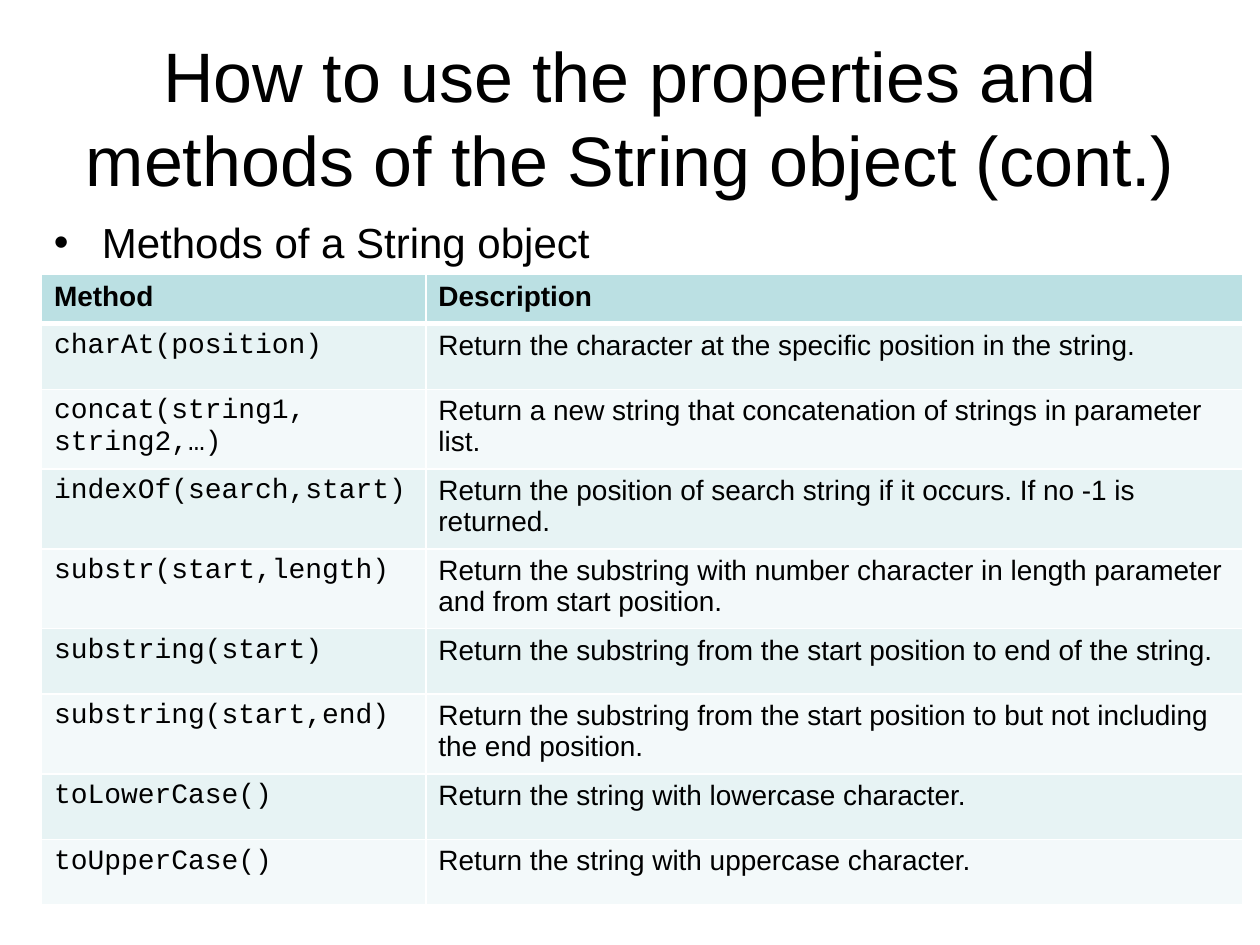
from dataclasses import dataclass

from lxml.etree import SubElement
from pptx import Presentation
from pptx.dml.color import RGBColor
from pptx.enum.text import MSO_ANCHOR, MSO_AUTO_SIZE, PP_ALIGN
from pptx.oxml.ns import qn
from pptx.util import Inches, Pt


@dataclass(frozen=True)
class Theme:
    ink: str = "000000"
    border: str = "FFFFFF"
    header: str = "BBE0E3"
    bands: tuple = ("E7F3F4", "F3F9FA")
    body_font: str = "Arial"
    code_font: str = "Courier New"
    title_size: int = 40
    bullet_size: int = 24
    table_size: int = 16


theme = Theme()


def add_text(p, text, size, font=theme.body_font, bold=False):
    r = p.add_run()
    r.text = text
    r.font.size = Pt(size)
    r.font.name = font
    r.font.bold = bold
    r.font.color.rgb = RGBColor.from_string(theme.ink)


def set_borders(cell, bottom_width):
    tc_pr = cell._tc.get_or_add_tcPr()
    widths = {"a:lnL": 1, "a:lnR": 1, "a:lnT": 1, "a:lnB": bottom_width}
    # Border lines must come before the cell fill
    for i, (tag, width) in enumerate(widths.items()):
        line = SubElement(tc_pr, qn(tag), w=str(Pt(width)))
        fill = SubElement(line, qn("a:solidFill"))
        SubElement(fill, qn("a:srgbClr"), val=theme.border)
        tc_pr.insert(i, line)


prs = Presentation()
prs.slide_width, prs.slide_height = Inches(10), Inches(7.5)
s = prs.slides.add_slide(prs.slide_layouts[5])

# Title
title = s.shapes.title
title.left, title.top = Inches(0.5), Inches(0.3)
title.width, title.height = Inches(9), Inches(1.25)
tf = title.text_frame
tf.auto_size = MSO_AUTO_SIZE.NONE
tf.vertical_anchor = MSO_ANCHOR.MIDDLE
p = tf.paragraphs[0]
p.alignment = PP_ALIGN.CENTER
add_text(p, "How to use the properties and methods of the String object (cont.)",
         theme.title_size)

# Bullet
body = s.shapes.add_textbox(Inches(0.33), Inches(1.67), Inches(9), Inches(4.95))
tf = body.text_frame
tf.word_wrap = True
p = tf.paragraphs[0]
p.space_before = Pt(0.2 * theme.bullet_size)
add_text(p, "Methods of a String object", theme.bullet_size)
p_pr = p._p.get_or_add_pPr()
p_pr.set("marL", str(Inches(0.38)))
p_pr.set("indent", str(Inches(-0.38)))
SubElement(p_pr, qn("a:buFont"), typeface=theme.body_font)
SubElement(p_pr, qn("a:buChar"), char="•")

# Method table: name, description, row height
header_height, short, tall = 0.39, 0.52, 0.62
rows = [
    ("Method", "Description", header_height),
    ("charAt(position)",
     "Return the character at the specific position in the string.", short),
    ("concat(string1, string2,…)",
     "Return a new string that concatenation of strings in parameter list.", tall),
    ("indexOf(search,start)",
     "Return the position of search string if it occurs. If no -1 is returned.", tall),
    ("substr(start,length)",
     "Return the substring with number character in length parameter "
     "and from start position.", tall),
    ("substring(start)",
     "Return the substring from the start position to end of the string.", short),
    ("substring(start,end)",
     "Return the substring from the start position to but not including "
     "the end position.", tall),
    ("toLowerCase()", "Return the string with lowercase character.", short),
    ("toUpperCase()", "Return the string with uppercase character.", short),
]
col_widths = (3.05, 6.48)
table = s.shapes.add_table(
    len(rows), len(col_widths), Inches(0.33), Inches(2.18),
    Inches(sum(col_widths)), Inches(sum(row[2] for row in rows))).table
for column, width in zip(table.columns, col_widths):
    column.width = Inches(width)

for i, (method, description, height) in enumerate(rows):
    table.rows[i].height = Inches(height)
    is_header = i == 0
    color = theme.header if is_header else theme.bands[(i - 1) % 2]
    for j, text in enumerate((method, description)):
        cell = table.cell(i, j)
        cell.fill.solid()
        cell.fill.fore_color.rgb = RGBColor.from_string(color)
        set_borders(cell, 3 if is_header else 1)
        is_code = j == 0 and not is_header
        add_text(cell.text_frame.paragraphs[0], text, theme.table_size,
                 theme.code_font if is_code else theme.body_font, is_header)

prs.save("out.pptx")
